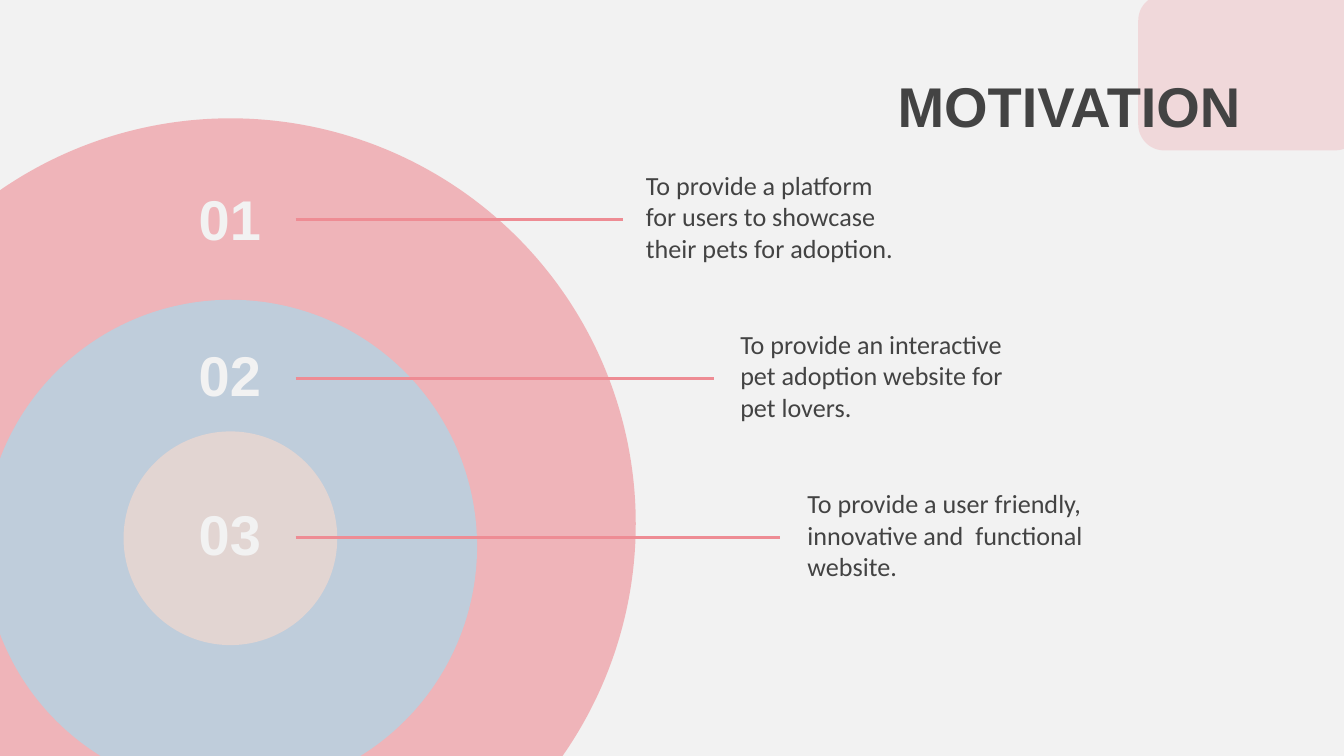
from lxml.etree import SubElement
from pptx import Presentation
from pptx.dml.color import RGBColor
from pptx.enum.shapes import MSO_CONNECTOR, MSO_SHAPE
from pptx.enum.text import MSO_ANCHOR, PP_ALIGN
from pptx.oxml.ns import qn
from pptx.util import Pt

# Content: number, its top, text left, text width, line end, text
TITLE = "MOTIVATION"
REASONS = [
    ("01", 96.5, 339, 152, 333.5,
     "To provide a platform for users to showcase their pets for adoption."),
    ("02", 180, 389.5, 165.6, 382.3,
     "To provide an interactive pet adoption website for pet lovers."),
    ("03", 265.7, 425.5, 165.6, 417.6,
     "To provide a user friendly, innovative and  functional website."),
]
# Circles: left, top, diameter, colour name, opacity in percent
CIRCLES = [
    (-93.6, 63.4, 434.2, "pink", 60),
    (-8.6, 160.6, 264.2, "blue", 73),
    (66.2, 231.1, 114.5, "sand", 70),
]

THEME = {
    "background": "F2F2F2", "ink": "434343",
    "pink": "EE8C94", "blue": "AED7E8", "sand": "F2D9CF",
    "heading": {"name": "Arial", "size": Pt(30), "bold": True},
    "body": {"name": "Calibri", "size": Pt(14), "bold": False},
}
TEXT_TOP, TEXT_HEIGHT, LINE_TOP, ROW_PITCH = 83.5, 69, 117.4, 85.3
LINE_START, INSET = 158.4, 7.2


def color(name):
    return RGBColor.from_string(THEME[name])


def box(*lengths):
    return [Pt(length) for length in lengths]


def add_tinted_shape(slide, kind, bounds, color_name, opacity):
    shape = slide.shapes.add_shape(kind, *box(*bounds))
    shape.shadow.inherit = False
    shape.fill.solid()
    shape.fill.fore_color.rgb = color(color_name)
    shape.line.fill.background()
    fill_color = shape.fill._xPr.find(qn("a:solidFill"))[0]
    SubElement(fill_color, qn("a:alpha"), val=str(opacity * 1000))


def add_text(slide, text, bounds, style, color_name, align=PP_ALIGN.LEFT,
             anchor=MSO_ANCHOR.TOP, top_inset=INSET):
    frame = slide.shapes.add_textbox(*box(*bounds)).text_frame
    frame_format = {
        "word_wrap": True, "vertical_anchor": anchor,
        "margin_left": Pt(INSET), "margin_right": Pt(INSET),
        "margin_top": Pt(top_inset), "margin_bottom": Pt(INSET),
    }
    for name, value in frame_format.items():
        setattr(frame, name, value)
    paragraph = frame.paragraphs[0]
    paragraph.alignment = align
    run = paragraph.add_run()
    run.text = text
    for name, value in THEME[style].items():
        setattr(run.font, name, value)
    run.font.color.rgb = color(color_name)


def add_line(slide, start, end, top):
    line = slide.shapes.add_connector(
        MSO_CONNECTOR.STRAIGHT, *box(start, top, end, top))
    line.line.color.rgb = color("pink")
    line.line.width = Pt(1.5)
    SubElement(line._element.spPr, qn("a:effectLst"))


def main():
    presentation = Presentation()
    presentation.slide_width, presentation.slide_height = Pt(720), Pt(405)
    slide = presentation.slides.add_slide(presentation.slide_layouts[6])
    slide.background.fill.solid()
    slide.background.fill.fore_color.rgb = color("background")

    # Corner tile and title
    add_tinted_shape(slide, MSO_SHAPE.ROUNDED_RECTANGLE,
                     (609.8, -2.9, 119.5, 83.5), "pink", 25)
    add_text(slide, TITLE, (427.7, 28.1, 244.1, 73.4), "heading", "ink",
             align=PP_ALIGN.RIGHT, top_inset=10)

    # Nested circles
    for left, top, diameter, color_name, opacity in CIRCLES:
        add_tinted_shape(slide, MSO_SHAPE.OVAL,
                         (left, top, diameter, diameter), color_name, opacity)

    # Numbered reasons with their leader lines
    for row, (number, number_top, left, width, line_end, text) in enumerate(REASONS):
        offset = row * ROW_PITCH
        add_text(slide, text, (left, TEXT_TOP + offset, width, TEXT_HEIGHT),
                 "body", "ink")
        add_text(slide, number, (95, number_top, 56.2, 45.4), "heading",
                 "background", align=PP_ALIGN.CENTER, anchor=MSO_ANCHOR.BOTTOM)
        add_line(slide, LINE_START, line_end, LINE_TOP + offset)

    presentation.save("out.pptx")


if __name__ == "__main__":
    main()
